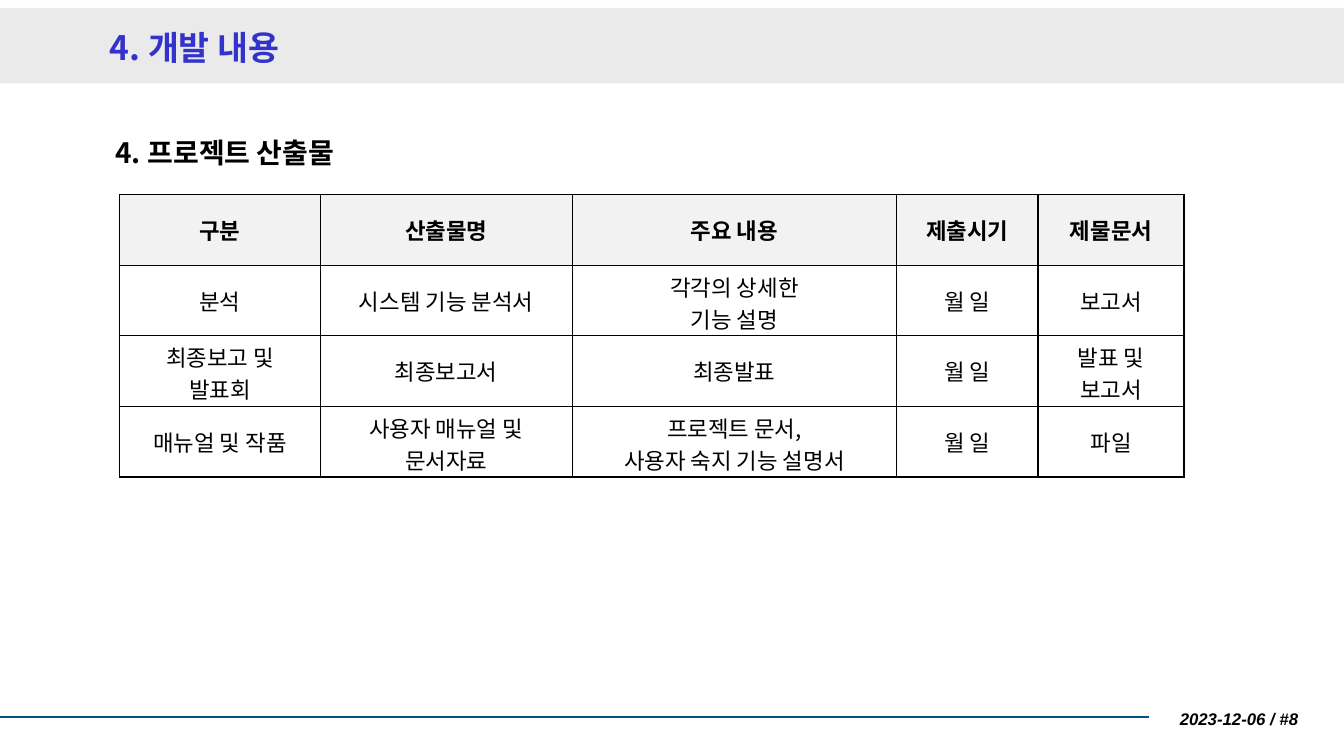
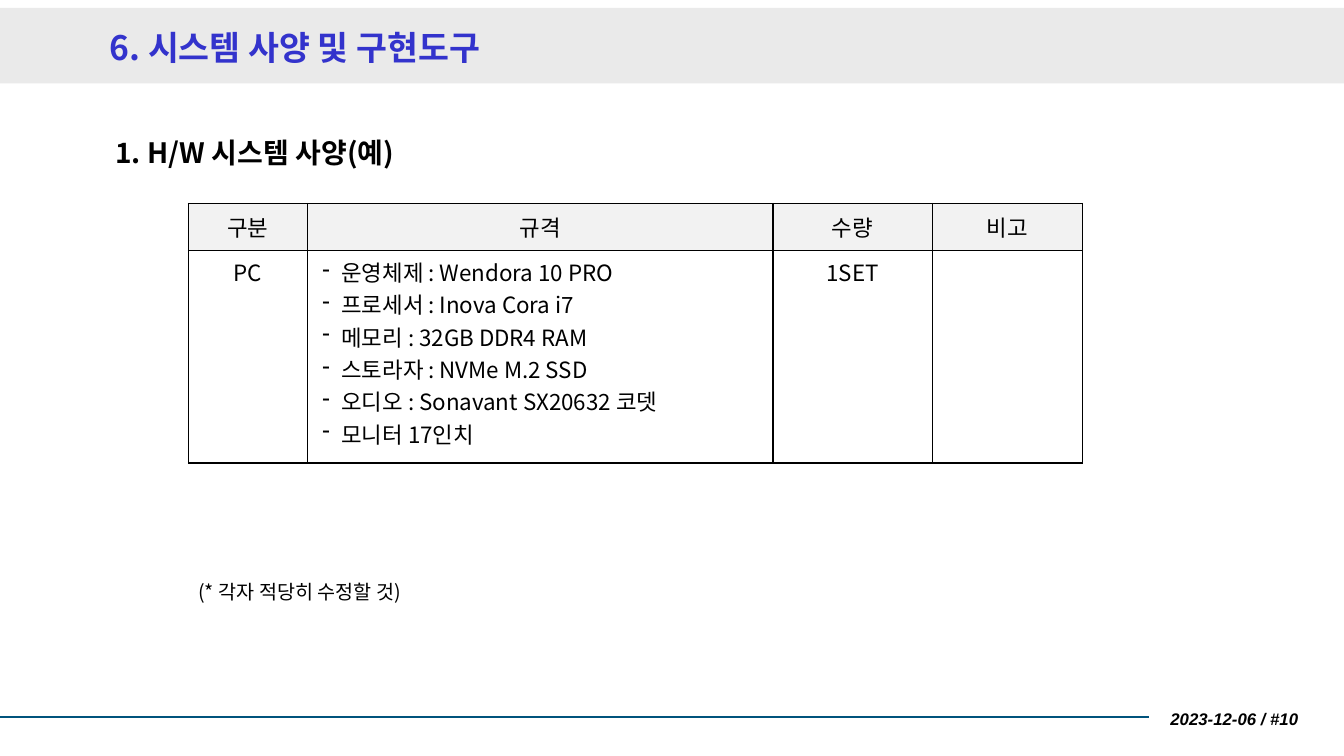
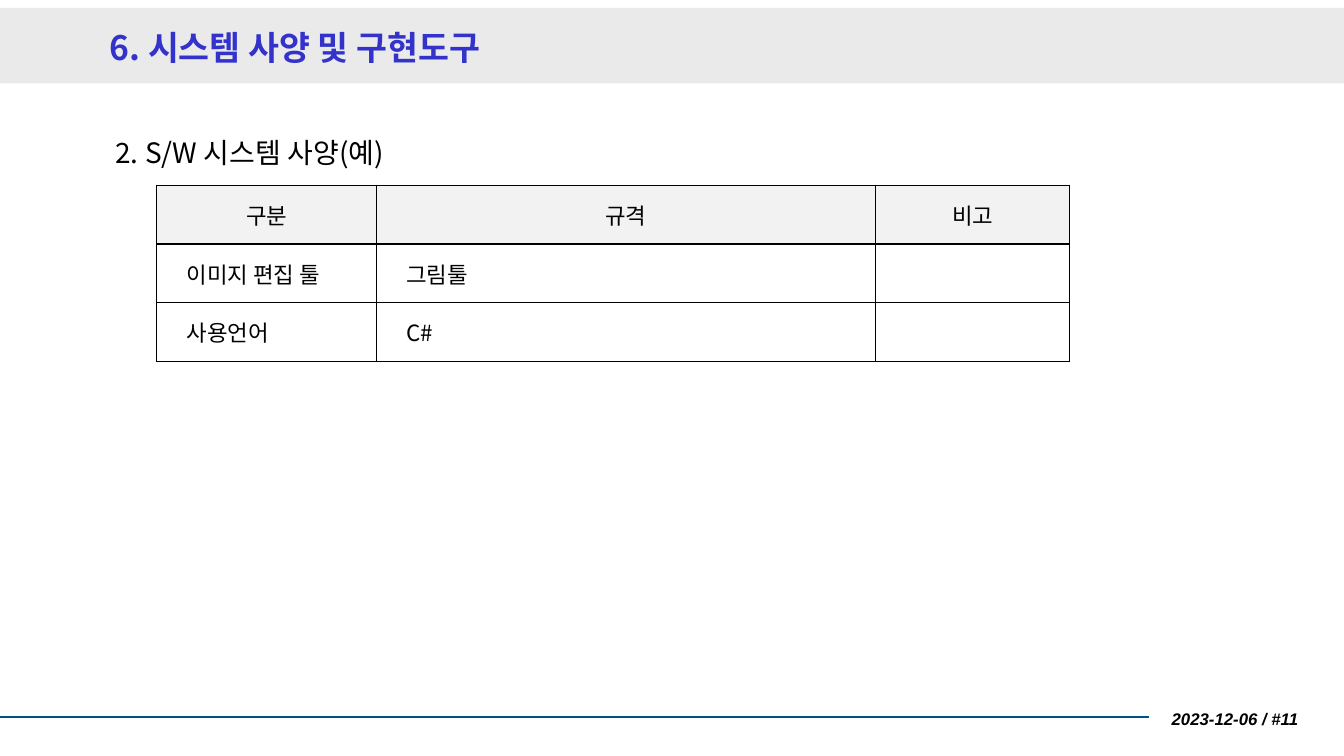
import pptx
import pptx.dml.color
import pptx.enum.shapes
import pptx.enum.text
import pptx.oxml
import pptx.oxml.ns
import pptx.util
from lxml import etree

Cm = pptx.util.Cm
Pt = pptx.util.Pt
RGBColor = pptx.dml.color.RGBColor
Align = pptx.enum.text.PP_ALIGN
Anchor = pptx.enum.text.MSO_ANCHOR
qn = pptx.oxml.ns.qn

BLACK = RGBColor(0x00, 0x00, 0x00)
WHITE = RGBColor(0xFF, 0xFF, 0xFF)
BAND_GREY = RGBColor(0xEA, 0xEA, 0xEA)
HEADER_GREY = RGBColor(0xF2, 0xF2, 0xF2)
TITLE_BLUE = RGBColor(0x33, 0x33, 0xCC)
RULE_BLUE = RGBColor(0x00, 0x53, 0x7C)

KOREAN = "Noto Sans CJK KR"
TITLE_FONT = {"name": KOREAN, "size": Pt(24), "bold": True}
HEADING_FONT = {"name": KOREAN, "size": Pt(20), "bold": True}
CELL_FONT = {"name": KOREAN, "size": Pt(16), "bold": False}
NOTE_FONT = {"name": KOREAN, "size": Pt(14), "bold": False}
FOOTER_FONT = {"name": "Arial", "size": Pt(12), "bold": True, "italic": True}

SLIDE_WIDTH, SLIDE_HEIGHT = 33.87, 19.05
BAND_BOX = (0, 0.2, SLIDE_WIDTH, 1.9)
TITLE_BOX = (2.51, 0.43, 30.23, 1.5)
HEADING_BOX = (2.66, 3.28, 25.8, 1.2)
FOOTER_BOX = (0, 17.58, 32.97, 1.07)
FOOTER_RULE_LENGTH = 28.96
FOOTER_TEXT_WIDTH = 4.24

# Paragraph alignment, left margin and first-line indent in cm, bullet
CENTRED = (Align.CENTER, 0, 0, None)
INDENTED = (Align.LEFT, 0.5, 0, None)
DASHED = (Align.LEFT, 0.6, -0.48, "-")

PAGES = [
    {
        "title": "4. 개발 내용",
        "heading": "4. 프로젝트 산출물",
        "number": 8,
        "table": {
            "corner": (3.02, 4.9),
            "widths": [5.05, 6.35, 8.18, 3.56, 3.68],
            "heights": [1.78] * 4,
            "styles": [CENTRED] * 5,
            "bold_header": True,
            "rows": [
                ["구분", "산출물명", "주요 내용", "제출시기", "제물문서"],
                ["분석", "시스템 기능 분석서", "각각의 상세한\n기능 설명", "월 일", "보고서"],
                ["최종보고 및\n발표회", "최종보고서", "최종발표", "월 일", "발표 및\n보고서"],
                ["매뉴얼 및 작품", "사용자 매뉴얼 및\n문서자료",
                 "프로젝트 문서,\n사용자 숙지 기능 설명서", "월 일", "파일"],
            ],
        },
    },
    {
        "title": "6. 시스템 사양 및 구현도구",
        "heading": "1. H/W 시스템 사양(예)",
        "number": 10,
        "table": {
            "corner": (4.75, 5.13),
            "widths": [3, 11.73, 4.01, 3.78],
            "heights": [1.19, 5.35],
            "styles": [CENTRED, DASHED, CENTRED, CENTRED],
            "body_anchor": Anchor.TOP,
            "rows": [
                ["구분", "규격", "수량", "비고"],
                ["PC",
                 "운영체제 : Wendora 10 PRO\n프로세서 : Inova Cora i7\n"
                 "메모리 : 32GB DDR4 RAM\n스토라자 : NVMe M.2 SSD\n"
                 "오디오 : Sonavant SX20632 코뎃\n모니터 17인치",
                 "1SET", ""],
            ],
        },
        "note": ("(* 각자 적당히 수정할 것)", (4.75, 14.5, 7, 0.96)),
    },
    {
        "title": "6. 시스템 사양 및 구현도구",
        "heading": "2. S/W 시스템 사양(예)",
        "heading_bold": False,
        "number": 11,
        "table": {
            "corner": (3.95, 4.67),
            "widths": [5.54, 12.57, 4.9],
            "heights": [1.48] * 3,
            "styles": [INDENTED, INDENTED, CENTRED],
            "rows": [
                ["구분", "규격", "비고"],
                ["이미지 편집 툴", "그림툴", ""],
                ["사용언어", "C#", ""],
            ],
        },
    },
]


def lengths(box):
    return [Cm(value) for value in box]


def write_paragraph(paragraph, text, font_format, color=BLACK, align=Align.LEFT):
    paragraph.alignment = align
    run = paragraph.add_run()
    run.text = text
    for name, value in font_format.items():
        setattr(run.font, name, value)
    run.font.color.rgb = color
    east_asian = etree.SubElement(run.font._element, qn("a:ea"))
    east_asian.set("typeface", font_format["name"])


def add_label(slide, box, text, font_format, align=Align.LEFT, anchor=Anchor.TOP):
    label = slide.shapes.add_textbox(*lengths(box))
    label.text_frame.word_wrap = True
    label.text_frame.vertical_anchor = anchor
    write_paragraph(label.text_frame.paragraphs[0], text, font_format, align=align)


def add_title(slide, text):
    """Fill the title placeholder and lay the grey band behind it."""
    title = slide.shapes.title
    title.left, title.top, title.width, title.height = lengths(TITLE_BOX)
    title.text_frame.vertical_anchor = Anchor.MIDDLE
    write_paragraph(title.text_frame.paragraphs[0], text, TITLE_FONT, TITLE_BLUE)
    band = slide.shapes.add_shape(
        pptx.enum.shapes.MSO_SHAPE.RECTANGLE, *lengths(BAND_BOX))
    band.shadow.inherit = False
    band.fill.solid()
    band.fill.fore_color.rgb = BAND_GREY
    band.line.fill.background()
    title.element.addprevious(band.element)


def add_footer(slide, box, number):
    left, top, width, height = box
    rule_top = top + 0.48
    rule = slide.shapes.add_connector(
        pptx.enum.shapes.MSO_CONNECTOR.STRAIGHT,
        *lengths((left, rule_top, left + FOOTER_RULE_LENGTH, rule_top)))
    rule.line.color.rgb = RULE_BLUE
    rule.line.width = Pt(1.5)
    etree.SubElement(rule.element.spPr, qn("a:effectLst"))
    text_left = left + width - FOOTER_TEXT_WIDTH
    add_label(slide, (text_left, top, FOOTER_TEXT_WIDTH, height),
              f"2023-12-06 / #{number}", FOOTER_FONT, Align.RIGHT, Anchor.MIDDLE)


def add_borders(cell):
    properties = cell._tc.get_or_add_tcPr()
    for side in ("lnL", "lnR", "lnT", "lnB"):
        border = etree.SubElement(properties, qn(f"a:{side}"), w=str(Pt(1)))
        fill = etree.SubElement(border, qn("a:solidFill"))
        etree.SubElement(fill, qn("a:srgbClr"), val=str(BLACK))


def fill_cell(cell, text, style, font_format, color, anchor):
    add_borders(cell)
    cell.fill.solid()
    cell.fill.fore_color.rgb = color
    cell.vertical_anchor = anchor
    align, margin, indent, bullet = style
    for index, line in enumerate(text.split("\n") if text else []):
        frame = cell.text_frame
        paragraph = frame.add_paragraph() if index else frame.paragraphs[0]
        write_paragraph(paragraph, line, font_format, align=align)
        properties = paragraph._p.get_or_add_pPr()
        properties.set("marL", str(Cm(margin)))
        properties.set("indent", str(Cm(indent)))
        if bullet:
            etree.SubElement(properties, qn("a:buChar"), char=bullet)


def add_grid(slide, corner, widths, heights, styles, rows,
             bold_header=False, body_anchor=Anchor.MIDDLE):
    box = (*corner, sum(widths), sum(heights))
    table = slide.shapes.add_table(len(rows), len(widths), *lengths(box)).table
    table.first_row = table.horz_banding = False
    for column, width in zip(table.columns, widths):
        column.width = Cm(width)
    for row, height in zip(table.rows, heights):
        row.height = Cm(height)
    header_font = {**CELL_FONT, "bold": bold_header}
    for row_index, texts in enumerate(rows):
        for column_index, text in enumerate(texts):
            cell = table.cell(row_index, column_index)
            if row_index == 0:
                fill_cell(cell, text, CENTRED, header_font, HEADER_GREY, Anchor.MIDDLE)
            else:
                fill_cell(cell, text, styles[column_index], CELL_FONT, WHITE, body_anchor)


def add_page(presentation, page):
    slide = presentation.slides.add_slide(presentation.slide_layouts[5])
    add_title(slide, page["title"])
    heading_font = {**HEADING_FONT, "bold": page.get("heading_bold", True)}
    add_label(slide, HEADING_BOX, page["heading"], heading_font)
    add_grid(slide, **page["table"])
    if "note" in page:
        text, box = page["note"]
        add_label(slide, box, text, NOTE_FONT)
    add_footer(slide, FOOTER_BOX, page["number"])


def main():
    presentation = pptx.Presentation()
    presentation.slide_width = Cm(SLIDE_WIDTH)
    presentation.slide_height = Cm(SLIDE_HEIGHT)
    for page in PAGES:
        add_page(presentation, page)
    presentation.save("out.pptx")


if __name__ == "__main__":
    main()
